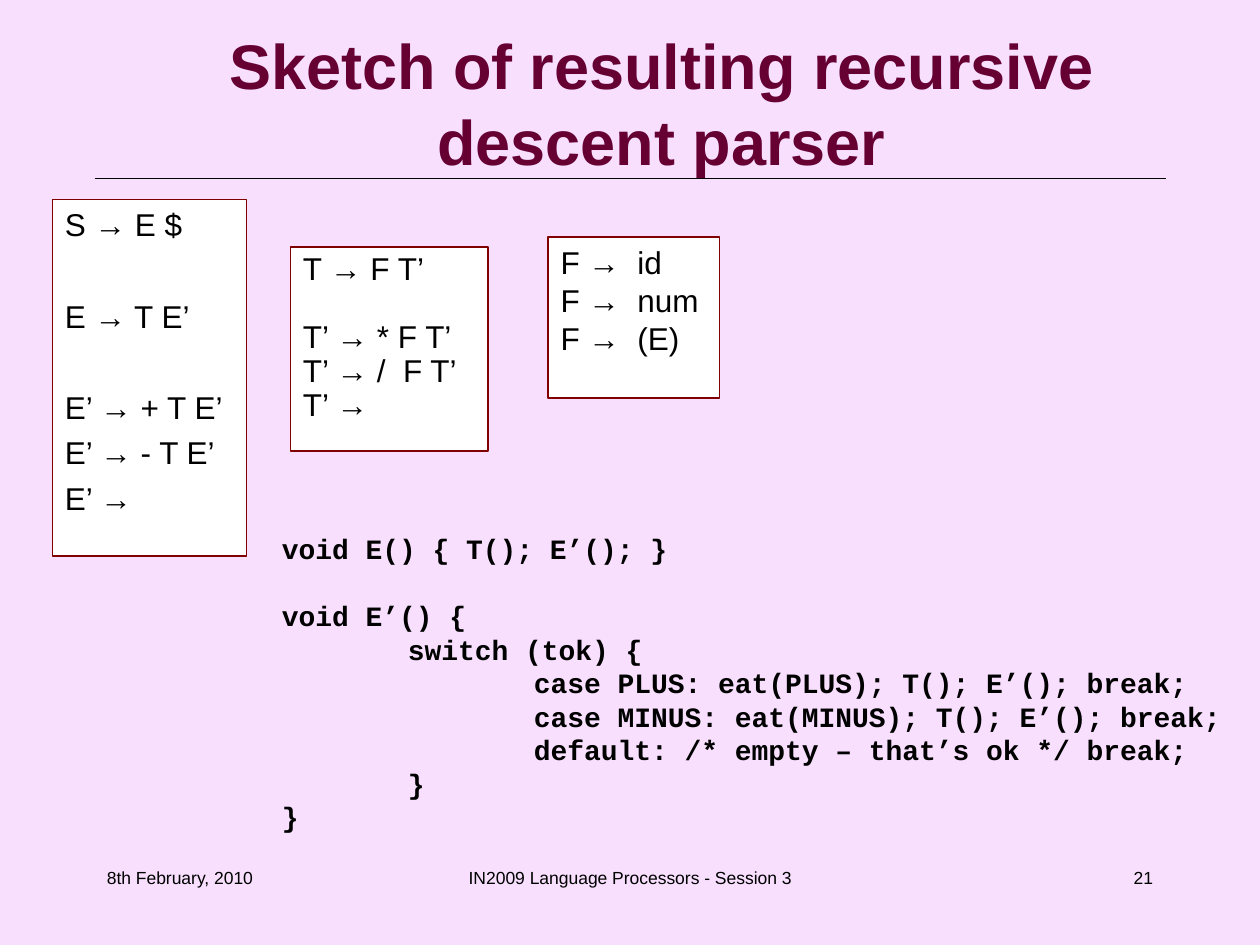
from lxml import etree
from pptx import Presentation
from pptx.dml.color import RGBColor
from pptx.enum import shapes, text
from pptx.oxml.ns import qn
from pptx.util import Pt

THEME = {
    "paper": "F7DFFD", "title": "660033", "ink": "000000",
    "panel": "FFFFFF", "border": "800000",
    "sans": "Arial", "mono": "Courier New",
    "title_size": 36, "grammar_size": 18, "code_size": 16, "footer_size": 10,
    "line_width": 0.75,
}

TITLE = "Sketch of resulting recursive descent parser"

# Rules are grouped; each new group is set apart by its gap (points).
GRAMMARS = [
    {"box": (30, 113.8, 111, 204), "before": 4.5, "gap": 30.5, "spacing": 1.0,
     "groups": [["S → E $"], ["E → T E’"],
                ["E’ → + T E’", "E’ → - T E’", "E’ →"]]},
    {"box": (313.2, 135.4, 98, 92), "before": 0, "gap": 0, "spacing": 1.0,
     "groups": [["F →  id", "F →  num", "F →  (E)"]]},
    {"box": (166, 141.1, 113, 116.6), "before": 0, "gap": 19.4, "spacing": 0.9,
     "groups": [["T → F T’"], ["T’ → * F T’", "T’ → /  F T’", "T’ →"]]},
]

CODE_BOX = (154, 300.2, 551, 180)
CODE_GAP = 19.1
TAB_STEP = 72
CODE = [
    ["void E() { T(); E’(); }"],
    ["void E’() {",
     "\tswitch (tok) {",
     "\t\tcase PLUS: eat(PLUS); T(); E’(); break;",
     "\t\tcase MINUS: eat(MINUS); T(); E’(); break;",
     "\t\tdefault: /* empty – that’s ok */ break;",
     "\t}",
     "}"],
]

FOOTER_TOP, FOOTER_HEIGHT = 492, 36
FOOTERS = [
    ("IN2009 Language Processors - Session 3", 246, 228, text.PP_ALIGN.CENTER),
    ("21", 516, 150, text.PP_ALIGN.RIGHT),
    ("8th February, 2010", 54, 150, text.PP_ALIGN.LEFT),
]


def color(name):
    return RGBColor.from_string(THEME[name])


def points(values):
    return [Pt(value) for value in values]


def style(paragraph, size, font="sans", ink="ink", bold=False,
          align=text.PP_ALIGN.LEFT):
    paragraph.alignment = align
    for span in paragraph.runs:
        span.font.name = THEME[font]
        span.font.size = Pt(THEME[size])
        span.font.bold = bold
        span.font.color.rgb = color(ink)


def write_groups(frame, groups, before, gap, spacing, **look):
    """Write one paragraph per line, with the gap above each later group."""
    frame.text = "\n".join(line for group in groups for line in group)
    spaces = [gap if number and not index else before
              for number, group in enumerate(groups)
              for index in range(len(group))]
    for paragraph, space in zip(frame.paragraphs, spaces):
        paragraph.space_before = Pt(space)
        paragraph.line_spacing = spacing
        style(paragraph, **look)


def add_tab_stops(paragraph, count=7):
    stops = etree.SubElement(paragraph._p.get_or_add_pPr(), qn("a:tabLst"))
    for number in range(1, count + 1):
        etree.SubElement(stops, qn("a:tab"), pos=str(Pt(TAB_STEP * number)), algn="l")


def add_title(page):
    title = page.shapes.title
    title.left, title.top, title.width, title.height = points((78, 24, 600, 69))
    frame = title.text_frame
    frame.text = TITLE
    frame.word_wrap = True
    frame.auto_size = text.MSO_AUTO_SIZE.NONE
    frame.vertical_anchor = text.MSO_ANCHOR.MIDDLE
    style(frame.paragraphs[0], "title_size", ink="title", bold=True,
          align=text.PP_ALIGN.CENTER)


def add_rule(page):
    rule = page.shapes.add_connector(
        shapes.MSO_CONNECTOR.STRAIGHT, *points((54, 102, 666, 102)))
    rule.line.color.rgb = color("ink")
    rule.line.width = Pt(THEME["line_width"])
    etree.SubElement(rule._element.spPr, qn("a:effectLst"))


def add_code(page):
    frame = page.shapes.add_textbox(*points(CODE_BOX)).text_frame
    frame.word_wrap = False
    frame.auto_size = text.MSO_AUTO_SIZE.SHAPE_TO_FIT_TEXT
    write_groups(frame, CODE, 0, CODE_GAP, 1.0,
                 size="code_size", font="mono", bold=True)
    for paragraph in frame.paragraphs:
        add_tab_stops(paragraph)


def add_grammar(page, grammar):
    panel = page.shapes.add_shape(
        shapes.MSO_SHAPE.RECTANGLE, *points(grammar["box"]))
    panel.shadow.inherit = False
    panel.fill.solid()
    panel.fill.fore_color.rgb = color("panel")
    panel.line.color.rgb = color("border")
    panel.line.width = Pt(THEME["line_width"])
    frame = panel.text_frame
    frame.word_wrap = True
    frame.vertical_anchor = text.MSO_ANCHOR.TOP
    write_groups(frame, grammar["groups"], grammar["before"], grammar["gap"],
                 grammar["spacing"], size="grammar_size")


def add_footer(page, words, left, width, align):
    box = page.shapes.add_textbox(*points((left, FOOTER_TOP, width, FOOTER_HEIGHT)))
    box.text_frame.word_wrap = True
    box.text_frame.text = words
    style(box.text_frame.paragraphs[0], "footer_size", align=align)


def main():
    deck = Presentation()
    deck.slide_width, deck.slide_height = points((720, 540))
    page = deck.slides.add_slide(deck.slide_layouts.get_by_name("Title Only"))
    page.background.fill.solid()
    page.background.fill.fore_color.rgb = color("paper")
    add_rule(page)
    add_title(page)
    add_code(page)
    for grammar in GRAMMARS:
        add_grammar(page, grammar)
    for footer in FOOTERS:
        add_footer(page, *footer)
    deck.save("out.pptx")


if __name__ == "__main__":
    main()
